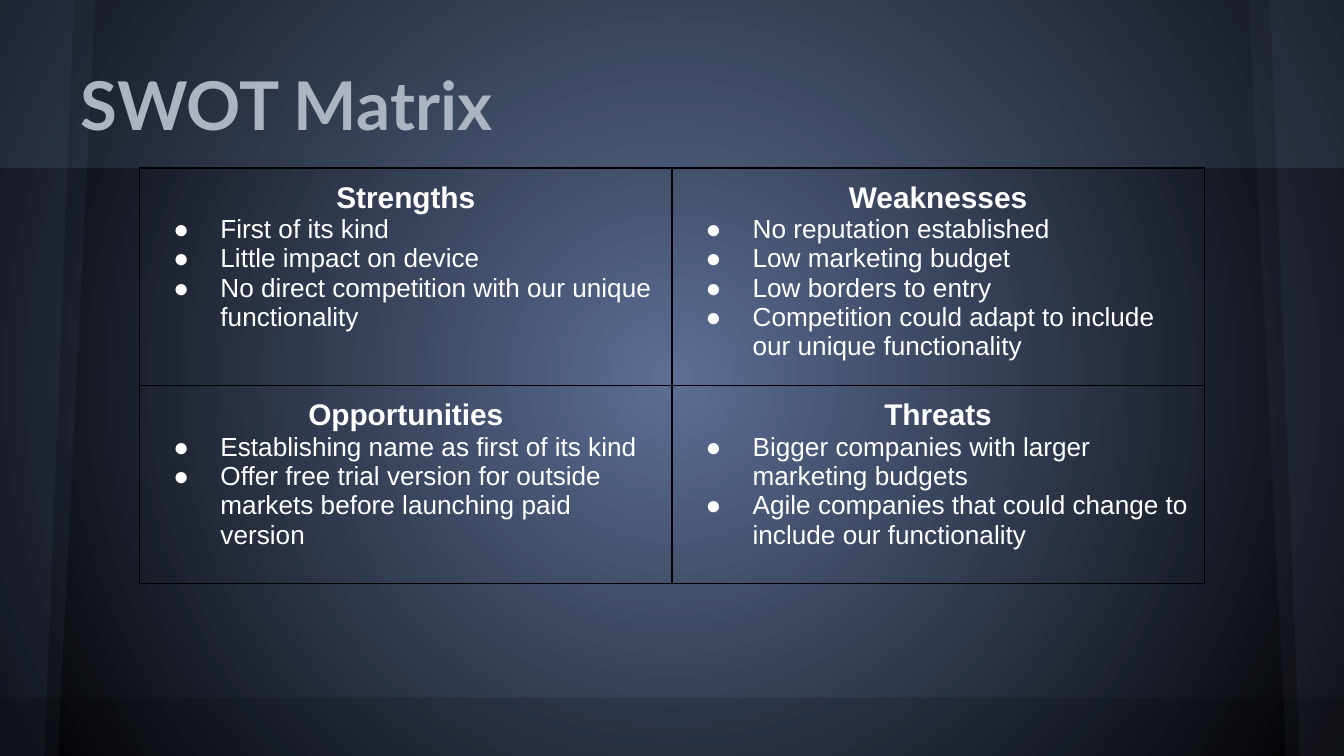
import pptx
import pptx.dml.color
import pptx.enum.shapes
import pptx.enum.text
import pptx.oxml
import pptx.oxml.ns
import pptx.util
from pptx.util import Inches

RGBColor = pptx.dml.color.RGBColor
BLUE = RGBColor(0x5C, 0x6E, 0x95)
SLATE = RGBColor(0x5A, 0x63, 0x78)
BLACK = RGBColor(0x00, 0x00, 0x00)
WHITE = RGBColor(0xFF, 0xFF, 0xFF)
TITLE_GREY = RGBColor(0xAC, 0xB4, 0xC2)
RECTANGLE = pptx.enum.shapes.MSO_SHAPE.RECTANGLE
qn = pptx.oxml.ns.qn
NS = pptx.oxml.ns.nsdecls("a")
WIDTH = 10
HEIGHT = WIDTH * 9 / 16

SWOT = [
    [("Strengths", ["First of its kind", "Little impact on device",
                    "No direct competition with our unique functionality"]),
     ("Weaknesses", ["No reputation established", "Low marketing budget",
                     "Low borders to entry",
                     "Competition could adapt to include our unique functionality"])],
    [("Opportunities", ["Establishing name as first of its kind",
                        "Offer free trial version for outside markets before launching paid version"]),
     ("Threats", ["Bigger companies with larger marketing budgets",
                  "Agile companies that could change to include our functionality"])],
]


def tint(shape, color, percent):
    """Give a shape a see-through fill without line or shadow."""
    shape.shadow.inherit = False
    shape.line.fill.background()
    shape.fill.solid()
    shape.fill.fore_color.rgb = color
    shape.element.find(".//" + qn("a:srgbClr")).append(
        pptx.oxml.parse_xml(f'<a:alpha {NS} val="{percent * 1000}"/>'))


def style_run(paragraph, font_name, size, color, bold):
    font = paragraph.runs[0].font
    font.name = font_name
    font.size = pptx.util.Pt(size)
    font.color.rgb = color
    font.bold = bold


deck = pptx.Presentation()
deck.slide_width, deck.slide_height = Inches(WIDTH), Inches(HEIGHT)
slide = deck.slides.add_slide(deck.slide_layouts[5])
shapes = slide.shapes

# Radial background
background = slide.background.fill
background.gradient()
for stop, color in zip(background.gradient_stops, (BLUE, BLACK)):
    stop.color.rgb = color
gradient = slide.element.find(".//" + qn("a:gradFill"))
gradient.replace(gradient.find(qn("a:lin")), pptx.oxml.parse_xml(
    f'<a:path {NS} path="circle">'
    '<a:fillToRect l="50000" t="50000" r="50000" b="50000"/></a:path>'))

# Header band, slanted side panels, footer band
header = shapes.add_shape(RECTANGLE, 0, 0, Inches(WIDTH), Inches(1.25))
tint(header, BLUE, 20)
for edge, top_x, bottom_x, color in [(0, 0.71, 0.43, BLUE), (0, 0.55, 0.33, BLUE),
                                     (10, 9.29, 9.57, SLATE), (10, 9.45, 9.67, BLUE)]:
    outline = shapes.build_freeform(Inches(edge), 0)
    outline.add_line_segments([(Inches(top_x), 0), (Inches(bottom_x), Inches(HEIGHT)),
                               (Inches(edge), Inches(HEIGHT))])
    tint(outline.convert_to_shape(), color, 10)
footer = shapes.add_shape(RECTANGLE, 0, Inches(5.19), Inches(WIDTH), Inches(HEIGHT - 5.19))
tint(footer, BLACK, 15)

# Title, brought in front of the bands
title = shapes.title
title.left, title.top, title.width, title.height = map(Inches, (0.5, 0.23, 9, 0.94))
heading = title.text_frame
heading.text = "SWOT Matrix"
heading.auto_size = pptx.enum.text.MSO_AUTO_SIZE.NONE
heading.vertical_anchor = pptx.enum.text.MSO_ANCHOR.BOTTOM
heading.margin_left = heading.margin_right = Inches(0.1)
heading.margin_top = heading.margin_bottom = Inches(0.1)
heading.paragraphs[0].alignment = pptx.enum.text.PP_ALIGN.LEFT
style_run(heading.paragraphs[0], "Lato", 36, TITLE_GREY, True)
shapes.element.append(title.element)

# SWOT table
matrix = shapes.add_table(2, 2, Inches(1.04), Inches(1.25), Inches(7.92), Inches(3.09)).table
matrix.first_row = matrix.horz_banding = False
for row, height in zip(matrix.rows, (1.62, 1.47)):
    row.height = Inches(height)

for r, quadrants in enumerate(SWOT):
    for c, (name, points) in enumerate(quadrants):
        cell = matrix.cell(r, c)
        cell.margin_left = cell.margin_right = Inches(0.1)
        cell.margin_top = cell.margin_bottom = Inches(0.1)
        cell_properties = cell._tc.get_or_add_tcPr()
        for side in "LRTB":
            cell_properties.append(pptx.oxml.parse_xml(
                f'<a:ln{side} {NS} w="{pptx.util.Pt(0.75)}"><a:solidFill>'
                f'<a:srgbClr val="{BLACK}"/></a:solidFill></a:ln{side}>'))
        cell.fill.background()

        cell.text_frame.text = "\n".join([name, *points])
        quadrant_title, *bullets = cell.text_frame.paragraphs
        quadrant_title.alignment = pptx.enum.text.PP_ALIGN.CENTER
        style_run(quadrant_title, "Arial", 16, WHITE, True)
        for bullet in bullets:
            style_run(bullet, "Arial", 14, WHITE, False)
            properties = bullet._p.get_or_add_pPr()
            properties.set("marL", str(Inches(0.5)))
            properties.set("indent", str(Inches(-0.35)))
            properties.append(pptx.oxml.parse_xml(
                f'<a:buClr {NS}><a:srgbClr val="{WHITE}"/></a:buClr>'))
            properties.append(pptx.oxml.parse_xml(f'<a:buFont {NS} typeface="Arial"/>'))
            properties.append(pptx.oxml.parse_xml(f'<a:buChar {NS} char="●"/>'))

deck.save("out.pptx")
